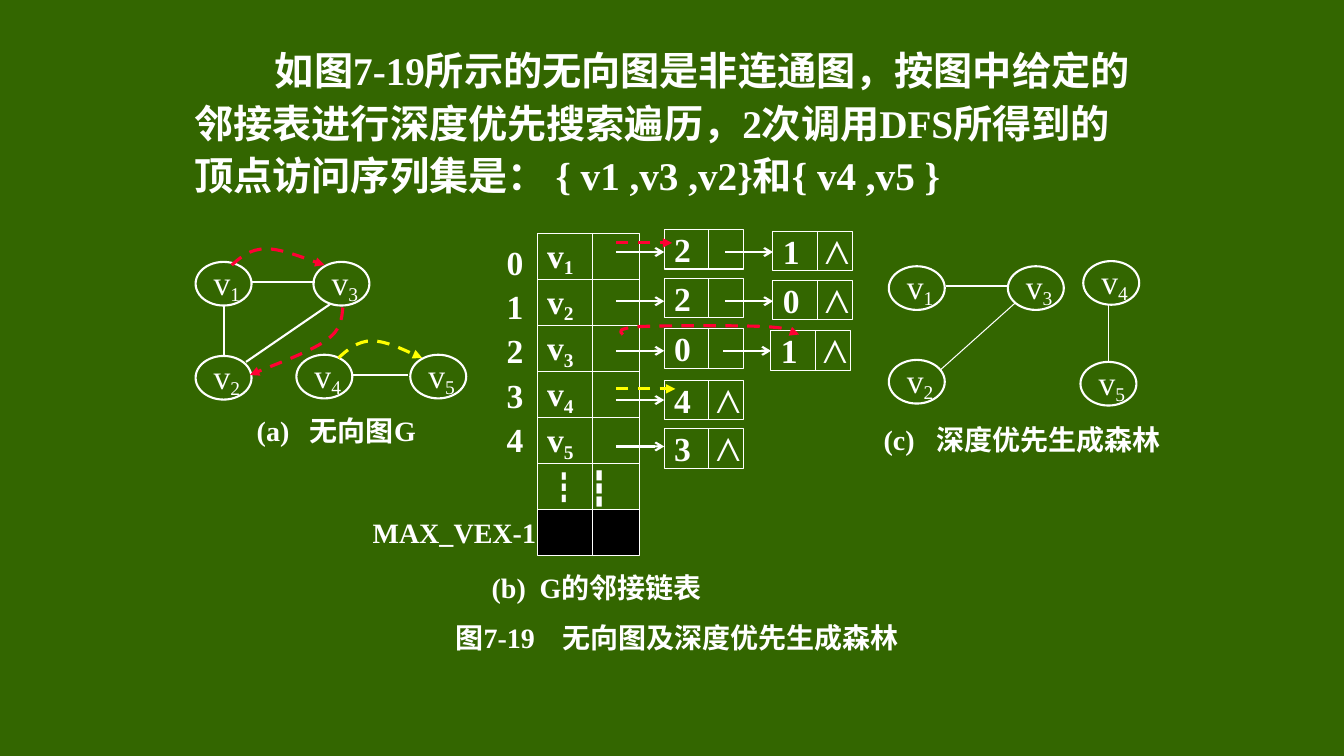
from lxml.etree import SubElement
from pptx import Presentation
from pptx.dml.color import RGBColor
from pptx.enum.dml import MSO_LINE
from pptx.enum.shapes import MSO_CONNECTOR, MSO_SHAPE
from pptx.enum.text import MSO_ANCHOR, PP_ALIGN
from pptx.oxml.ns import qn
from pptx.util import Cm, Pt

COLORS = {"board": "336600", "chalk": "FFFFFF", "visit": "FF0033",
          "second_visit": "FFFF00", "unused": "000000"}
SERIF = "Times New Roman"
SANS = "Noto Sans CJK SC"

OVAL_W, OVAL_H = 1.41, 1.1
NODE_W, NODE_H, NODE_SPLIT = 2.01, 1.0, 1.12
TABLE_X, TABLE_Y, ROW_W, ROW_H, ROW_SPLIT = 13.54, 5.89, 2.59, 1.16, 1.4
LINK_X, FIRST_X, LINK_LENGTH = 15.52, 16.74, 1.2


def rgb(name):
    return RGBColor.from_string(COLORS[name])


def write(frame, paragraphs, size=24, bold=False, spacing=None, indent=0,
          tab=None, wrap=False, anchor=MSO_ANCHOR.MIDDLE, east=SERIF):
    """Each paragraph is a list of (text, format changes) pairs."""
    frame.word_wrap = wrap
    frame.vertical_anchor = anchor
    for number, runs in enumerate(paragraphs):
        paragraph = frame.add_paragraph() if number else frame.paragraphs[0]
        properties = paragraph._p.get_or_add_pPr()
        if tab:
            stops = SubElement(properties, qn("a:tabLst"))
            SubElement(stops, qn("a:tab"), pos=str(Cm(tab)), algn="l")
        if indent:
            properties.set("indent", str(Cm(indent)))
        paragraph.alignment = PP_ALIGN.LEFT
        if spacing:
            paragraph.line_spacing = spacing
        for words, changes in runs:
            run = paragraph.add_run()
            run.text = words
            run.font.size = Pt(size)
            run.font.bold = changes.get("bold", bold)
            run.font.color.rgb = rgb("chalk")
            run.font.name = changes.get("face", SERIF)
            run_properties = run._r.get_or_add_rPr()
            SubElement(run_properties, qn("a:ea"), typeface=changes.get("face", east))
            if "baseline" in changes:
                run_properties.set("baseline", str(changes["baseline"] * 1000))


def label(slide, x, y, w, h, paragraphs, **text_format):
    box = slide.shapes.add_textbox(Cm(x), Cm(y), Cm(w), Cm(h))
    write(box.text_frame, paragraphs, **text_format)


def style_line(line, color, width, dashed, arrow):
    line.color.rgb = rgb(color)
    line.width = Pt(width)
    if dashed:
        line.dash_style = MSO_LINE.DASH
    if arrow:
        SubElement(line._get_or_add_ln(), qn("a:tailEnd"), type=arrow)


def link(slide, start, end, color="chalk", width=1.5, dashed=False, arrow=None):
    connector = slide.shapes.add_connector(
        MSO_CONNECTOR.STRAIGHT, *[Cm(value) for value in (*start, *end)])
    style_line(connector.line, color, width, dashed, arrow)
    SubElement(connector._element.spPr, qn("a:effectLst"))


def visit_curve(slide, points, color):
    """Dashed arrow: a start point, then three Bezier points per segment."""
    start, *rest = [(Cm(x), Cm(y)) for x, y in points]
    builder = slide.shapes.build_freeform(*start)
    builder.add_line_segments(rest, close=False)
    curve = builder.convert_to_shape()
    outline = curve._element.spPr.find(".//" + qn("a:path"))
    segments = outline.findall(qn("a:lnTo"))
    for first in range(0, len(segments), 3):
        bezier = SubElement(outline, qn("a:cubicBezTo"))
        for segment in segments[first:first + 3]:
            bezier.append(segment[0])
            outline.remove(segment)
    curve.fill.background()
    style_line(curve.line, color, 2.25, True, "triangle")
    curve.shadow.inherit = False


def outlined(slide, kind, x, y, w, h, width, fill=None):
    shape = slide.shapes.add_shape(kind, Cm(x), Cm(y), Cm(w), Cm(h))
    if fill:
        shape.fill.solid()
        shape.fill.fore_color.rgb = rgb(fill)
    else:
        shape.fill.background()
    style_line(shape.line, "chalk", width, False, None)
    shape.shadow.inherit = False
    return shape


def vertex(slide, number, x, y):
    oval = outlined(slide, MSO_SHAPE.OVAL, x, y, OVAL_W, OVAL_H, 1.5)
    write(oval.text_frame, [[("v", {}), (str(number), {"baseline": -18})]])


def split_box(slide, x, y, w, h, split, runs, fill=None):
    box = outlined(slide, MSO_SHAPE.RECTANGLE, x, y, w, h, 0.75, fill)
    if runs:
        write(box.text_frame, [runs], bold=True, tab=1.06)
    link(slide, (x + split, y), (x + split, y + h), width=0.75)


def list_node(slide, x, y, index, last):
    runs = [(f"{index}\t", {}), ("⋀", {"bold": False})] if last else [(index, {})]
    split_box(slide, x, y, NODE_W, NODE_H, NODE_SPLIT, runs)


def draw_graph(slide):
    for number, (x, y) in enumerate([(4.93, 6.6), (4.93, 8.97), (7.9, 6.6),
                                     (7.47, 8.94), (10.34, 8.94)], 1):
        vertex(slide, number, x, y)
    for start, end in [((5.64, 7.7), (5.64, 8.97)), ((6.2, 9.12), (8.31, 7.67)),
                       ((6.35, 7.11), (7.95, 7.11)), ((8.89, 9.45), (10.29, 9.45))]:
        link(slide, start, end)
    visit_curve(slide, [(5.84, 6.68), (6.07, 6.48), (6.3, 6.27), (6.71, 6.27),
                        (7.09, 6.27), (7.92, 6.6), (8.18, 6.68)], "visit")
    visit_curve(slide, [(8.64, 7.75), (8.61, 8.03), (8.61, 8.31), (8.2, 8.59),
                        (7.82, 8.86), (6.63, 9.3), (6.3, 9.45)], "visit")
    visit_curve(slide, [(8.53, 9.02), (8.76, 8.81), (9.02, 8.59), (9.37, 8.59),
                        (9.73, 8.59), (10.44, 8.94), (10.64, 9.02)], "second_visit")


def draw_adjacency_list(slide):
    # Head table
    heads = [[("v", {}), (str(n), {"baseline": -20})] for n in range(1, 6)]
    heads += [[("┇", {"face": SANS}), (" ┇", {})], None]
    for row, runs in enumerate(heads):
        split_box(slide, TABLE_X, TABLE_Y + row * ROW_H, ROW_W, ROW_H, ROW_SPLIT,
                  runs, None if runs else "unused")
    label(slide, 12.52, 5.84, 0.99, 5.87, [[(str(n), {})] for n in range(5)],
          bold=True, spacing=1.1, wrap=True)
    label(slide, 9.14, 12.93, 4.9, 0.99, [[("MAX_VEX-1", {})]], size=20, bold=True)

    # Chains: indices, top of the first node, height of the link, left of the second
    for indices, top, link_y, second_x in [
            ("21", 5.78, 6.35, 19.48), ("20", 7.01, 7.59, 19.48),
            ("01", 8.28, 8.84, 19.43), ("4", 9.58, 10.08, None),
            ("3", 10.8, 11.25, None)]:
        list_node(slide, FIRST_X, top, indices[0], second_x is None)
        link(slide, (LINK_X, link_y), (FIRST_X, link_y), arrow="arrow")
        if second_x:
            list_node(slide, second_x, top + 0.05, indices[1], True)
            link(slide, (second_x - LINK_LENGTH, link_y), (second_x, link_y),
                 arrow="arrow")

    # Order of visits
    for end_x, y, color in [(16.94, 6.12, "visit"), (17.02, 9.8, "second_visit")]:
        link(slide, (LINK_X, y), (end_x, y), color, 2.25, True, "triangle")
    visit_curve(slide, [(15.7, 8.43), (15.62, 8.36), (15.52, 8.28), (16.13, 8.23),
                        (16.74, 8.2), (18.64, 8.2), (19.3, 8.23),
                        (19.96, 8.28), (20.02, 8.43), (20.14, 8.43)], "visit")


def draw_forest(slide):
    for number, (x, y) in enumerate([(22.4, 6.71), (22.4, 9.07), (25.4, 6.71),
                                     (27.3, 6.58), (27.23, 9.12)], 1):
        vertex(slide, number, x, y)
    link(slide, (23.83, 7.21), (25.43, 7.21))
    link(slide, (25.6, 7.62), (23.7, 9.32), width=0.75)
    link(slide, (27.94, 7.67), (27.94, 9.12), width=0.75)


def main():
    deck = Presentation()
    deck.slide_width, deck.slide_height = Cm(33.87), Cm(19.05)
    slide = deck.slides.add_slide(deck.slide_layouts[6])
    slide.background.fill.solid()
    slide.background.fill.fore_color.rgb = rgb("board")

    # Statement
    statement = ("如图7-19所示的无向图是非连通图，按图中给定的邻接表进行深度优先搜索遍历，"
                 "2次调用DFS所得到的顶点访问序列集是： { v1 ,v3 ,v2}和{ v4 ,v5 }")
    label(slide, 4.65, 0.91, 24.3, 4.2, [[(statement, {})]], size=28, bold=True,
          spacing=Pt(37.5), indent=2.03, wrap=True, anchor=MSO_ANCHOR.TOP, east=SANS)

    # Figure
    draw_graph(slide)
    draw_adjacency_list(slide)
    draw_forest(slide)

    # Captions
    for x, y, w, tab, caption in [
            (6.22, 10.41, 5.0, 1.34, "(a)\t无向图G"),
            (12.14, 14.35, 6.3, 1.21, "(b)\tG的邻接链表"),
            (22.02, 10.62, 7.9, 1.32, "(c)\t深度优先生成森林"),
            (11.23, 15.62, 12.2, 2.69, "图7-19\t无向图及深度优先生成森林")]:
        label(slide, x, y, w, 0.89, [[(caption, {})]], size=20, bold=True, tab=tab,
              east=SANS)

    deck.save("out.pptx")


if __name__ == "__main__":
    main()
